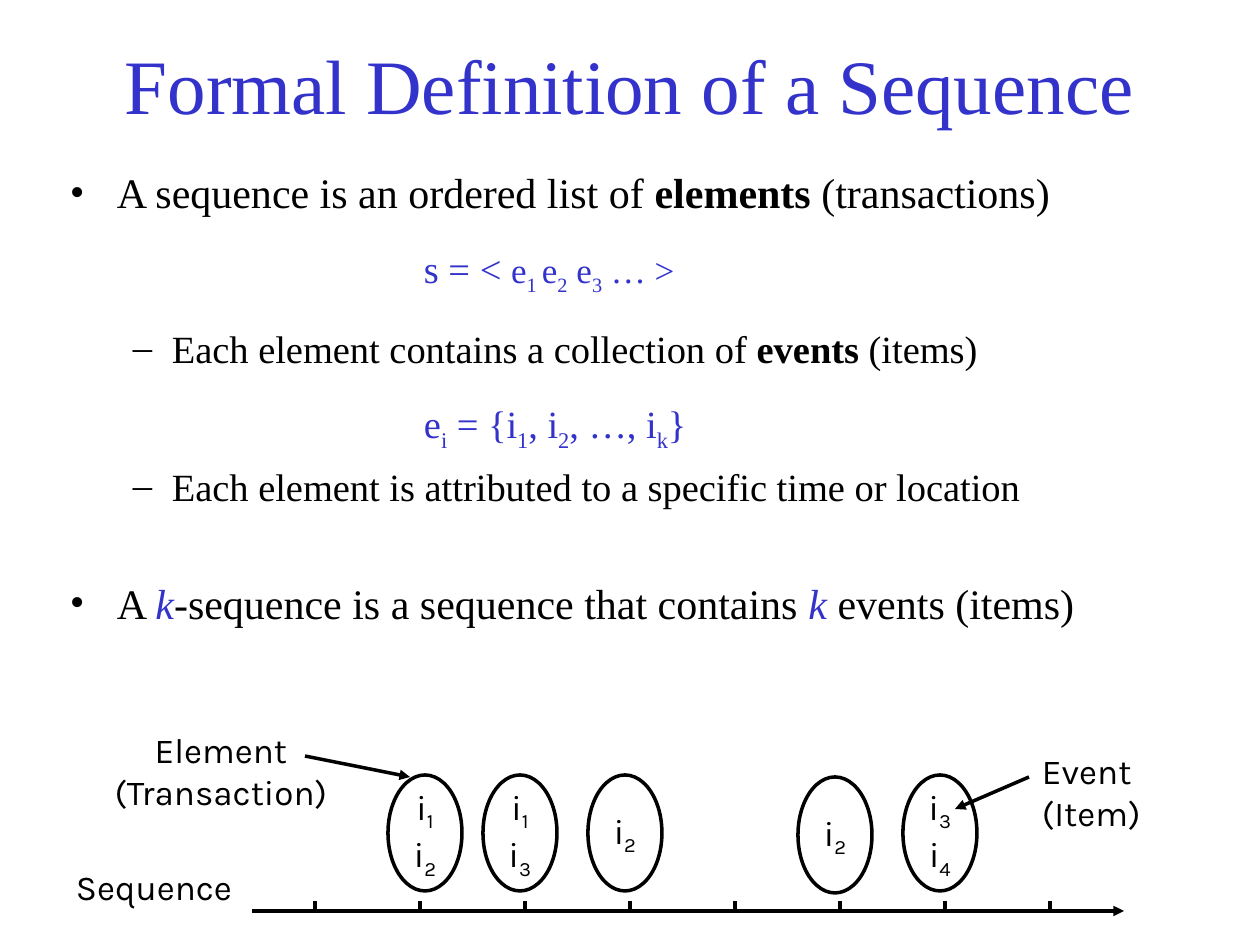
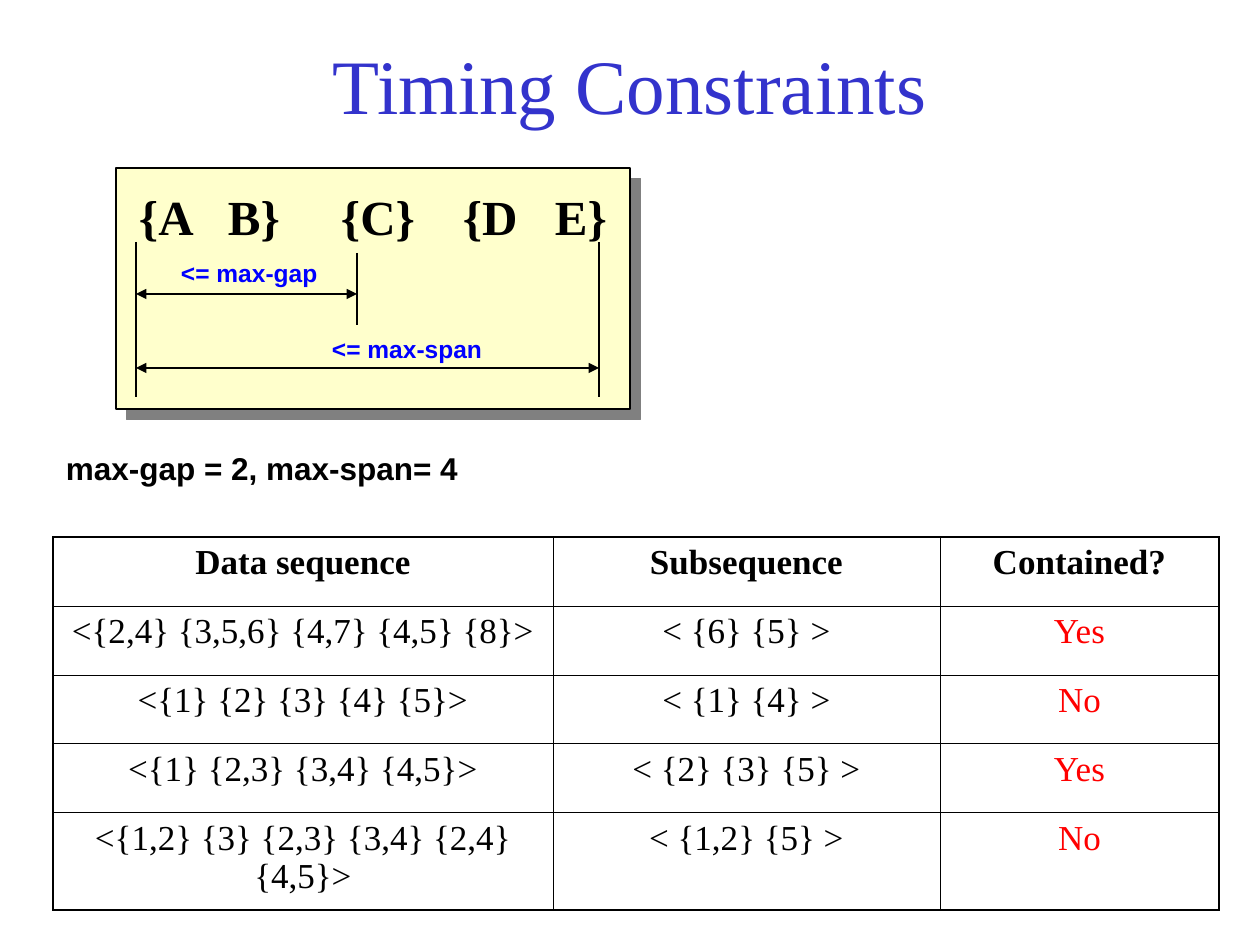
from lxml import etree
from pptx import Presentation
from pptx.dml.color import RGBColor
from pptx.enum.shapes import MSO_CONNECTOR, MSO_SHAPE
from pptx.enum.text import MSO_ANCHOR, PP_ALIGN
from pptx.oxml.ns import qn
from pptx.util import Pt

LEFT, CENTER = PP_ALIGN.LEFT, PP_ALIGN.CENTER
TOP, MIDDLE = MSO_ANCHOR.TOP, MSO_ANCHOR.MIDDLE
RECTANGLE, OVAL = MSO_SHAPE.RECTANGLE, MSO_SHAPE.OVAL
STRAIGHT = MSO_CONNECTOR.STRAIGHT

BLACK = RGBColor(0x00, 0x00, 0x00)
INDIGO = RGBColor(0x33, 0x33, 0xCC)
BLUE = RGBColor(0x00, 0x00, 0xFF)
RED = RGBColor(0xFF, 0x00, 0x00)
CREAM = RGBColor(0xFF, 0xFF, 0xCC)
GREY = RGBColor(0x80, 0x80, 0x80)

SERIF, SANS, DIAGRAM_FONT = "Times New Roman", "Arial", "Karla"
PIXELS_PER_INCH = 126
BOLD = {"bold": True}
SUBSCRIPT = {"baseline": -25000}
VARIABLE = {"italic": True, "color": INDIGO}


def px(length):
    return round(length * 914400 / PIXELS_PER_INCH)


def add_xml(parent, tag, **attributes):
    return etree.SubElement(parent, qn(tag), {key: str(value) for key, value in attributes.items()})


def add_run(paragraph, text, size, font=SERIF, color=BLACK, bold=False, italic=False, baseline=0):
    run = paragraph.add_run()
    run.text = text
    run.font.size = Pt(size)
    run.font.name = font
    run.font.color.rgb = color
    run.font.bold = bold
    run.font.italic = italic
    if baseline:
        run.font._element.set("baseline", str(baseline))


def write_text(paragraph, text, marked=SUBSCRIPT, **text_format):
    """Every second part between bars takes the marked format."""
    for index, part in enumerate(text.split("|")):
        part_format = {**text_format, **marked} if index % 2 else text_format
        for line_index, line in enumerate(part.split("\n")):
            if line_index:
                paragraph.add_line_break()
            if line:
                add_run(paragraph, line, **part_format)


def format_frame(frame, anchor=TOP, wrap=True):
    frame.word_wrap = wrap
    frame.vertical_anchor = anchor
    frame.margin_left = frame.margin_right = px(13)
    frame.margin_top = frame.margin_bottom = px(6)


def add_label(slide, left, top, width, height, text, align=LEFT, anchor=TOP, **text_format):
    label = slide.shapes.add_textbox(px(left), px(top), px(width), px(height))
    format_frame(label.text_frame, anchor)
    paragraph = label.text_frame.paragraphs[0]
    paragraph.alignment = align
    write_text(paragraph, text, **text_format)
    return label


def add_block(slide, kind, left, top, width, height, fill=None, line_width=0):
    shape = slide.shapes.add_shape(kind, px(left), px(top), px(width), px(height))
    shape.shadow.inherit = False
    if fill is None:
        shape.fill.background()
    else:
        shape.fill.solid()
        shape.fill.fore_color.rgb = fill
    if line_width:
        shape.line.color.rgb = BLACK
        shape.line.width = Pt(line_width)
    else:
        shape.line.fill.background()
    return shape


def add_line(slide, start, end, width, arrows=()):
    connector = slide.shapes.add_connector(STRAIGHT, *map(px, start + end))
    connector.line.color.rgb = BLACK
    connector.line.width = Pt(width)
    line = connector.line._get_or_add_ln()
    for arrow in arrows:
        add_xml(line, arrow, type="triangle")
    add_xml(connector._element.spPr, "a:effectLst")


def add_title(slide, text):
    add_label(slide, 63, 35, 1134, 98, text, CENTER, MIDDLE, size=44, color=INDIGO)


def add_definition(slide, left, top, width, height):
    body = slide.shapes.add_textbox(px(left), px(top), px(width), px(height))
    frame = body.text_frame
    format_frame(frame)
    frame.margin_top = px(9)

    def add_paragraph(space, margin, indent=0, bullet=None):
        paragraph = frame.add_paragraph() if frame.paragraphs[0].runs else frame.paragraphs[0]
        paragraph.space_before = Pt(space)
        properties = paragraph._p.get_or_add_pPr()
        properties.set("marL", str(px(margin)))
        properties.set("indent", str(px(indent)))
        if bullet:
            add_xml(properties, "a:buFont", typeface=SERIF)
            add_xml(properties, "a:buChar", char=bullet)
        return paragraph

    def add_point(space, text, marked=BOLD):
        write_text(add_paragraph(space, 47, -47, "•"), text, marked, size=24)

    def add_detail(space, text):
        write_text(add_paragraph(space, 102, -39, "–"), text, BOLD, size=22)

    add_point(0, "A sequence is an ordered list of |elements| (transactions)")
    sequence = add_paragraph(16, 354)
    write_text(sequence, "s = < ", size=22, color=INDIGO)
    write_text(sequence, "e|1 |e|2| e|3| … >", size=20, color=INDIGO)
    add_detail(16, "Each element contains a collection of |events| (items)")
    element = add_paragraph(17, 354)
    write_text(element, "e|i| = {i|1|, i|2|, …, i|k|}", size=22, color=INDIGO)
    add_detail(5.5, "Each element is attributed to a specific time or location")
    add_point(39, "A |k|-sequence is a sequence that contains |k| events (items)", VARIABLE)


def add_timeline(slide, left, top):
    def at(x, y):
        return left + x, top + y

    def add_caption(x, y, width, height, text, align=LEFT):
        add_label(slide, *at(x, y), width, height, text, align, size=20, font=DIAGRAM_FONT)

    add_line(slide, at(189, 189), at(1061, 189), 2, ["a:tailEnd"])
    for tick in range(8):
        x = 252 + 105 * tick
        add_line(slide, at(x, 179), at(x, 189), 2)

    elements = [
        (325, 53, "i|1|\ni|2"),
        (420, 53, "i|1|\ni|3"),
        (525, 53, "i|2"),
        (735, 55, "i|2"),
        (840, 53, "i|3|\ni|4"),
    ]
    for x, y, items in elements:
        oval = add_block(slide, OVAL, *at(x, y), 74, 116, line_width=2)
        format_frame(oval.text_frame, MIDDLE, wrap=False)
        paragraph = oval.text_frame.paragraphs[0]
        paragraph.alignment = CENTER
        write_text(paragraph, items, size=20, font=DIAGRAM_FONT)

    add_line(slide, at(242, 34), at(347, 55), 2, ["a:tailEnd"])
    add_line(slide, at(966, 55), at(892, 87), 2, ["a:tailEnd"])
    add_caption(0, 137, 210, 55, "Sequence")
    add_caption(32, 0, 252, 97, "Element (Transaction)", CENTER)
    add_caption(966, 21, 136, 97, "Event\n(Item)")


def add_constraint_panel(slide, left, top, width, height):
    def at(x, y):
        return left + x, top + y

    panel = add_block(slide, RECTANGLE, left, top, width, height, CREAM, 0.75)
    effects = panel._element.spPr.find(qn("a:effectLst"))
    shadow = add_xml(effects, "a:outerShdw", blurRad=0, dist=Pt(8.5), dir=2700000, algn="ctr", rotWithShape=0)
    add_xml(shadow, "a:srgbClr", val=GREY)

    events = add_label(slide, *at(10, 12), 500, 72, "{A\tB}\t{C}\t{D\tE}", size=28, bold=True)
    properties = events.text_frame.paragraphs[0]._p.get_or_add_pPr()
    stops = add_xml(properties, "a:tabLst")
    for position in (89, 202, 324, 416):
        add_xml(stops, "a:tab", pos=px(position), algn="l")

    for x, y, label_width, text in [(203, 160, 175, "<= max-span"), (52, 84, 161, "<= max-gap")]:
        label = add_block(slide, RECTANGLE, *at(x, y), label_width, 43, CREAM)
        format_frame(label.text_frame, wrap=False)
        paragraph = label.text_frame.paragraphs[0]
        paragraph.alignment = LEFT
        write_text(paragraph, text, size=14, font=SANS, color=BLUE, bold=True)

    first, middle, last = 20, 241, 483
    for end, y in [(last, 200), (middle, 126)]:
        add_line(slide, at(first, y), at(end, y), 0.75, ["a:headEnd", "a:tailEnd"])
    for x, upper, lower in [(first, 74, 229), (middle, 85, 157), (last, 74, 229)]:
        add_line(slide, at(x, upper), at(x, lower), 0.75)


def set_borders(cell, outer_sides):
    properties = cell._tc.get_or_add_tcPr()
    for side in "LRTB":
        width = 1.08 if side in outer_sides else 0.45
        border = add_xml(properties, "a:ln" + side, w=Pt(width))
        add_xml(add_xml(border, "a:solidFill"), "a:srgbClr", val=BLACK)


def add_results_table(slide, left, top):
    rows = [
        ("Data sequence", "Subsequence", "Contained?"),
        ("<{2,4} {3,5,6} {4,7} {4,5} {8}>", "< {6} {5} >", "Yes"),
        ("<{1} {2} {3} {4} {5}>", "< {1} {4} >", "No"),
        ("<{1} {2,3} {3,4} {4,5}>", "< {2} {3} {5} >", "Yes"),
        ("<{1,2} {3} {2,3} {3,4} {2,4} {4,5}>", "< {1,2} {5} >", "No"),
    ]
    widths = [500, 387, 279]
    heights = [69, 69, 69, 69, 97]
    frame = slide.shapes.add_table(
        len(rows), len(widths), px(left), px(top), px(sum(widths)), px(sum(heights))
    )
    table = frame.table
    table.first_row = table.horz_banding = False
    for column, width in zip(table.columns, widths):
        column.width = px(width)
    for row, height in zip(table.rows, heights):
        row.height = px(height)
    last_row, last_column = len(rows) - 1, len(widths) - 1
    for row_index, row in enumerate(rows):
        for column_index, text in enumerate(row):
            cell = table.cell(row_index, column_index)
            outer_sides = {
                side
                for side, outer in zip(
                    "LRTB",
                    (column_index == 0, column_index == last_column, row_index == 0, row_index == last_row),
                )
                if outer
            }
            set_borders(cell, outer_sides)
            cell.fill.background()
            cell.margin_left = cell.margin_right = px(13)
            cell.margin_top = cell.margin_bottom = px(6)
            paragraph = cell.text_frame.paragraphs[0]
            paragraph.alignment = CENTER
            is_answer = row_index > 0 and column_index == last_column
            write_text(paragraph, text, size=20, color=RED if is_answer else BLACK, bold=row_index == 0)


def build_definition_slide(slide):
    add_title(slide, "Formal Definition of a Sequence")
    add_definition(slide, 57, 158, 1162, 540)
    add_timeline(slide, 63, 722)


def build_constraints_slide(slide):
    add_title(slide, "Timing Constraints")
    add_constraint_panel(slide, 116, 168, 514, 241)
    add_results_table(slide, 53, 537)
    add_label(slide, 53, 443, 1081, 50, "max-gap = 2, max-span= 4", size=18, font=SANS, bold=True)


def main():
    presentation = Presentation()
    presentation.slide_width, presentation.slide_height = px(1260), px(945)
    blank = presentation.slide_layouts[6]
    for build in (build_definition_slide, build_constraints_slide):
        build(presentation.slides.add_slide(blank))
    presentation.save("out.pptx")


if __name__ == "__main__":
    main()
